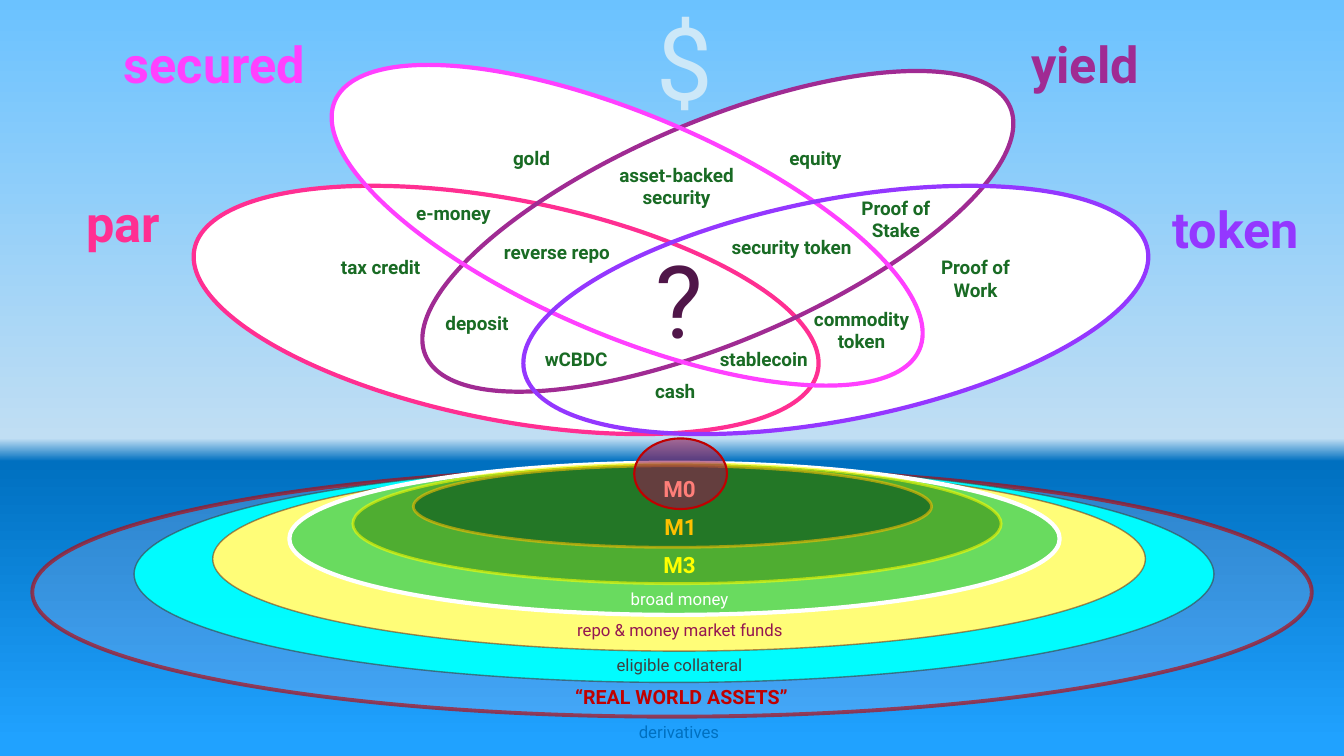
from lxml.etree import SubElement
from pptx import Presentation
from pptx.dml.color import RGBColor
from pptx.enum.shapes import MSO_SHAPE
from pptx.enum.text import MSO_AUTO_SIZE, PP_ALIGN
from pptx.oxml.ns import qn
from pptx.util import Inches, Pt

FONT = "Roboto"
WHITE = RGBColor(0xFF, 0xFF, 0xFF)
PINK = RGBColor(0xFF, 0x2F, 0x92)
MAGENTA = RGBColor(0xFF, 0x40, 0xFF)
PLUM = RGBColor(0xA0, 0x2B, 0x93)
DARK_PLUM = RGBColor(0x50, 0x16, 0x49)
VIOLET = RGBColor(0x94, 0x37, 0xFF)
LILAC = RGBColor(0xF2, 0xCF, 0xEE)
CYAN = RGBColor(0x00, 0xFE, 0xFF)
GRAY = RGBColor(0x40, 0x40, 0x40)
PALE_YELLOW = RGBColor(0xFF, 0xFD, 0x78)
YELLOW = RGBColor(0xFF, 0xFF, 0x00)
AMBER = RGBColor(0xFF, 0xC0, 0x00)
BROWN = RGBColor(0x80, 0x35, 0x0E)
LIGHT_GREEN = RGBColor(0x47, 0xD4, 0x5A)
GREEN = RGBColor(0x4F, 0xAD, 0x31)
DARK_GREEN = RGBColor(0x19, 0x6B, 0x24)
RED = RGBColor(0xC0, 0x00, 0x00)
SALMON = RGBColor(0xFF, 0x7E, 0x79)
MAROON = RGBColor(0x94, 0x16, 0x51)
PALE_BLUE = RGBColor(0xCD, 0xE8, 0xF8)
SKY = RGBColor(0x6B, 0xC2, 0xFF)
HORIZON = RGBColor(0xC0, 0xDE, 0xF3)
DEEP_SEA = RGBColor(0x00, 0x70, 0xC0)
SHALLOW_SEA = RGBColor(0x20, 0xA2, 0xFF)

LEFT, CENTER = PP_ALIGN.LEFT, PP_ALIGN.CENTER
PETAL_WIDTH, PETAL_HEIGHT = 6.3, 2.19


def set_opacity(solid_fill, percent):
    color = solid_fill.find(qn("a:srgbClr"))
    SubElement(color, qn("a:alpha"), val=str(percent * 1000))


def add_ellipse(slide, left, top, width, height, fill=None, line=None,
                line_width=3, fill_opacity=100, line_opacity=100, rotation=0):
    shape = slide.shapes.add_shape(MSO_SHAPE.OVAL, Inches(left), Inches(top),
                                   Inches(width), Inches(height))
    shape.shadow.inherit = False
    shape.rotation = rotation
    properties = shape.element.spPr
    if fill is None:
        shape.fill.background()
    else:
        shape.fill.solid()
        shape.fill.fore_color.rgb = fill
        if fill_opacity < 100:
            set_opacity(properties.find(qn("a:solidFill")), fill_opacity)
    if line is None:
        shape.line.fill.background()
    else:
        shape.line.color.rgb = line
        shape.line.width = Pt(line_width)
        if line_opacity < 100:
            line_fill = properties.find(qn("a:ln")).find(qn("a:solidFill"))
            set_opacity(line_fill, line_opacity)


def add_label(slide, text, left, top, width, height, size, color,
              bold=True, alignment=LEFT):
    box = slide.shapes.add_textbox(Inches(left), Inches(top),
                                   Inches(width), Inches(height))
    frame = box.text_frame
    frame.word_wrap = True
    frame.auto_size = MSO_AUTO_SIZE.SHAPE_TO_FIT_TEXT
    frame.text = text
    for paragraph in frame.paragraphs:
        paragraph.alignment = alignment
        paragraph.font.name = FONT
        paragraph.font.size = Pt(size)
        paragraph.font.bold = bold
        paragraph.font.color.rgb = color


def paint_background(slide):
    """Sky above the horizon, sea below it."""
    fill = slide.background.fill
    fill.gradient()
    fill.gradient_angle = 270
    stops = slide.element.find(".//" + qn("a:gsLst"))
    stops.clear()
    for percent, color in [(0, SKY), (58, HORIZON), (61, DEEP_SEA), (98, SHALLOW_SEA)]:
        stop = SubElement(stops, qn("a:gs"), pos=str(percent * 1000))
        SubElement(stop, qn("a:srgbClr"), val=str(color))


def draw_money_pool(slide, left, top):
    """Nested rings of money, from the widest to M0."""
    # left, top, width, height, fill, opacity, line, line width, line opacity
    rings = [
        (0.32, 0.29, 12.69, 2.47, LILAC, 18, RED, 2.75, 63),
        (1.33, 0.27, 10.71, 2.15, CYAN, 98, GRAY, 1, 62),
        (2.11, 0.28, 9.25, 1.83, PALE_YELLOW, 100, BROWN, 1, 59),
        (2.87, 0.24, 7.64, 1.51, LIGHT_GREEN, 81, WHITE, 3, 100),
        (3.5, 0.25, 6.43, 1.19, GREEN, 100, YELLOW, 2, 57),
        (4.1, 0.27, 5.14, 0.81, DARK_GREEN, 81, AMBER, 2, 57),
        (6.29, 0, 0.92, 0.7, MAROON, 58, RED, 1.5, 100),
    ]
    for x, y, width, height, fill, opacity, line, line_width, line_opacity in rings:
        add_ellipse(slide, left + x, top + y, width, height, fill, line,
                    line_width, opacity, line_opacity)

    # Ring names, from the centre outwards
    names = [
        ("M0", 6.42, 0.31, 0.64, 0.37, 16, SALMON, True),
        ("M1", 6.43, 0.69, 0.64, 0.37, 16, AMBER, True),
        ("M3", 6.42, 1.07, 0.64, 0.37, 16, YELLOW, True),
        ("broad money", 6.05, 1.44, 1.38, 0.3, 12, WHITE, False),
        ("repo & money market funds", 5.51, 1.75, 2.47, 0.3, 12, MAROON, False),
        ("eligible collateral", 5.47, 2.1, 2.54, 0.3, 12, GRAY, False),
        ("“REAL WORLD ASSETS”", 5.49, 2.4, 2.54, 0.34, 14, RED, True),
        ("derivatives", 6.16, 2.76, 1.15, 0.3, 12, DEEP_SEA, False),
    ]
    for text, x, y, width, height, size, color, bold in names:
        add_label(slide, text, left + x, top + y, width, height, size, color,
                  bold, CENTER)


def draw_asset_flower(slide, left, top):
    """Four overlapping petals with the assets in each overlap."""
    def add_petal(x, y, rotation, fill=None, line=None):
        add_ellipse(slide, left + x, top + y, PETAL_WIDTH, PETAL_HEIGHT,
                    fill, line, rotation=rotation)

    # White petals first, so that every outline stays visible
    outlined_petals = [(3.97, 1.2, 337, PLUM), (3.07, 1.14, 23, MAGENTA),
                       (5.14, 1.98, 349, VIOLET)]
    for x, y, rotation, color in outlined_petals:
        add_petal(x, y, rotation, fill=WHITE)
    add_petal(1.87, 1.98, 11, fill=WHITE, line=PINK)
    for x, y, rotation, color in outlined_petals:
        add_petal(x, y, rotation, line=color)

    # Petal names
    for text, x, y, width, color in [
        ("secured", 1.13, 0.28, 2.59, MAGENTA),
        ("yield", 10.13, 0.28, 2.59, PLUM),
        ("token", 11.53, 1.92, 1.7, VIOLET),
        ("par", 0.76, 1.86, 1.08, PINK),
    ]:
        add_label(slide, text, left + x, top + y, width, 0.71, 36, color)

    # Large symbols
    for text, x, y, width, color in [("?", 6.4, 2.31, 0.62, DARK_PLUM),
                                     ("$", 6.41, -0.05, 0.7, PALE_BLUE)]:
        add_label(slide, text, left + x, top + y, width, 1.31, 72, color, bold=False)

    # Assets
    for text, x, y, width, height, alignment in [
        ("tax credit", 3.12, 2.49, 1.31, 0.33, CENTER),
        ("Proof of Work", 9.15, 2.49, 1.05, 0.57, CENTER),
        ("Proof of\nStake", 8.11, 1.9, 1.55, 0.57, CENTER),
        ("cash", 6.4, 3.72, 0.63, 0.34, LEFT),
        ("gold", 4.99, 1.41, 0.76, 0.34, LEFT),
        ("deposit", 4.32, 3.04, 1.13, 0.34, LEFT),
        ("e-money", 4.03, 1.95, 2.19, 0.34, LEFT),
        ("equity", 7.73, 1.41, 2.27, 0.34, LEFT),
        ("commodity\ntoken", 7.86, 3, 1.37, 0.57, CENTER),
        ("wCBDC", 5.03, 3.4, 1.37, 0.34, CENTER),
        ("reverse repo", 4.9, 2.34, 2.19, 0.33, LEFT),
        ("stablecoin", 6.89, 3.4, 1.37, 0.34, CENTER),
        ("asset-backed security", 5.91, 1.57, 1.6, 0.57, CENTER),
        ("security token", 6.86, 2.29, 1.98, 0.34, CENTER),
    ]:
        add_label(slide, text, left + x, top + y, width, height, 13.5,
                  DARK_GREEN, alignment=alignment)


def main():
    presentation = Presentation()
    presentation.slide_width = Inches(13.33)
    presentation.slide_height = Inches(7.5)
    slide = presentation.slides.add_slide(presentation.slide_layouts[6])
    paint_background(slide)
    draw_money_pool(slide, left=0, top=4.35)
    draw_asset_flower(slide, left=0, top=0)
    presentation.save("out.pptx")


if __name__ == "__main__":
    main()
